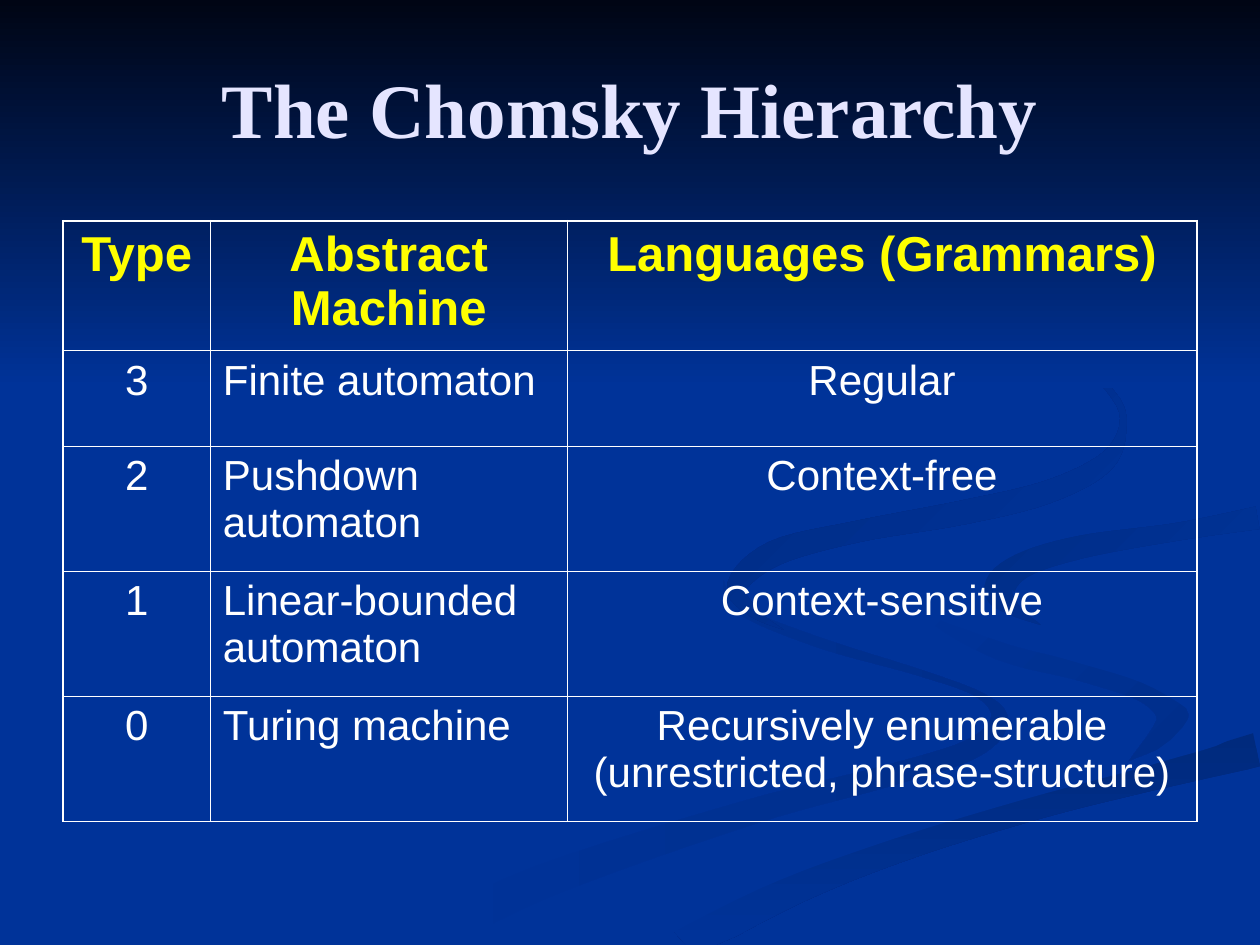
"""Build a slide with a table of the Chomsky hierarchy over a swirling blue ground.

Each ribbon is a few knots (x, y, thickness) on a 1000 by 750 grid; a spline
joins the knots, and the outline lies half the thickness to either side.
"""
import math
from lxml import etree
from pptx import Presentation
from pptx import util as u
from pptx.dml.color import RGBColor
from pptx.enum import shapes, text
from pptx.oxml.ns import qn


def tint(code):
    """Turn a hex string into a colour."""
    return RGBColor.from_string(code)


def paint(shape, start, end, angle):
    """Fill a shape from start to end, with the angle clockwise, and no line."""
    shape.shadow.inherit = False
    shape.line.fill.background()
    if start == end:
        shape.fill.solid()
        shape.fill.fore_color.rgb = tint(start)
        return
    shape.fill.gradient()
    shape.fill.gradient_angle = -angle % 360
    for stop, code in zip(shape.fill.gradient_stops, (start, end)):
        stop.color.rgb = tint(code)


BLUE, NIGHT, WHITE, YELLOW, LILAC = "003399", "000514", "FFFFFF", "FFFF00", "E5E5FF"
UNIT = 0.0254
WIDE, HIGH = 1000, 750
STEPS = 6

deck = Presentation()
deck.slide_width, deck.slide_height = u.Cm(WIDE * UNIT), u.Cm(HIGH * UNIT)
slide = deck.slides.add_slide(deck.slide_layouts[5])
slide.background.fill.solid()
slide.background.fill.fore_color.rgb = tint(BLUE)

ribbons = {
    "left tail": (BLUE, "002E8B", 0, [
        (574, 460, 0), (585, 483, 6), (650, 510, 8), (730, 534, 5), (778, 552, 5),
        (793, 572, 14), (770, 595, 16), (700, 617, 17), (594, 645, 20),
        (430, 700, 27), (330, 749, 30)]),
    "inner curl": (BLUE, "002E8B", 45, [
        (724, 464, 0), (739, 490, 6), (794, 517, 14), (860, 534, 14),
        (912, 551, 17), (930, 573, 25), (896, 604, 0)]),
    "root": ("002A7D", BLUE, 90, [
        (537, 749, 35), (630, 706, 24), (720, 672, 20), (820, 641, 20),
        (903, 620, 20), (998, 595, 27)]),
    "long bend": (BLUE, BLUE, 0, [
        (999, 394, 15), (920, 409, 15), (830, 423, 16), (753, 460, 50),
        (785, 491, 28), (850, 514, 20), (920, 535, 24), (970, 560, 50),
        (920, 600, 10), (810, 630, 10), (700, 662, 13), (600, 699, 14), (490, 749, 26)]),
    "right hook": ("002D86", BLUE, 45, [
        (998, 411, 18), (935, 422, 14), (859, 434, 18), (811, 449, 20),
        (793, 468, 24), (805, 484, 10), (826, 496, 0)]),
    "top hook": ("002B82", BLUE, 45, [
        (762, 233, 0), (844, 277, 3), (884, 314, 5), (891, 340, 6), (876, 368, 15),
        (830, 391, 18), (763, 407, 19), (680, 422, 17), (615, 439, 20),
        (585, 465, 16), (598, 486, 8), (622, 500, 0)]),
}
for start, end, angle, knots in ribbons.values():
    ends = [knots[0], *knots, knots[-1]]
    track = []
    for quad in zip(ends, ends[1:], ends[2:], ends[3:]):
        for step in range(STEPS):
            t = step / STEPS
            track.append([
                b + t * ((c - a) + t * ((2 * a - 5 * b + 4 * c - d)
                                        + t * (3 * b - a - 3 * c + d))) / 2
                for a, b, c, d in zip(*quad)])
    track.append(knots[-1])

    sides = [], []
    for i, (x, y, thick) in enumerate(track):
        back, ahead = track[max(i - 1, 0)], track[min(i + 1, len(track) - 1)]
        dx, dy = ahead[0] - back[0], ahead[1] - back[1]
        half = max(thick, 0) / 2 / math.hypot(dx, dy)
        for side, sign in zip(sides, (1, -1)):
            side.append((u.Cm(min(x - sign * dy * half, WIDE) * UNIT),
                         u.Cm(min(y + sign * dx * half, HIGH) * UNIT)))
    first, *rest = sides[0] + sides[1][::-1]
    path = slide.shapes.build_freeform(*first)
    path.add_line_segments(rest, close=True)
    paint(path.convert_to_shape(), start, end, angle)

sky = slide.shapes.add_shape(shapes.MSO_SHAPE.RECTANGLE, 0, 0, deck.slide_width, u.Cm(7.82))
paint(sky, NIGHT, BLUE, 90)

title = slide.shapes.title
title.element.getparent().append(title.element)
title.left, title.top, title.width, title.height = map(u.Cm, (1.27, 0.76, 22.86, 2.84))
title.text_frame.text = "The Chomsky Hierarchy"
title.text_frame.vertical_anchor = text.MSO_ANCHOR.MIDDLE
head = title.text_frame.paragraphs[0]
head.alignment = text.PP_ALIGN.CENTER
head.font.name, head.font.size, head.font.bold = "Times New Roman", u.Pt(44), True
head.font.color.rgb = tint(LILAC)

rows = [
    ("Type", "Abstract Machine", "Languages (Grammars)"),
    ("3", "Finite automaton", "Regular"),
    ("2", "Pushdown automaton", "Context-free"),
    ("1", "Linear-bounded automaton", "Context-sensitive"),
    ("0", "Turing machine", "Recursively enumerable (unrestricted, phrase-structure)"),
]
widths = [2.97, 7.19, 12.7]
heights = [2.62, 1.93] + [2.52] * 3
table = slide.shapes.add_table(len(rows), len(widths), u.Cm(1.27), u.Cm(4.45),
                               u.Cm(sum(widths)), u.Cm(sum(heights))).table
table.first_row = table.horz_banding = False
for col, size in zip(table.columns, widths):
    col.width = u.Cm(size)
for row, size in zip(table.rows, heights):
    row.height = u.Cm(size)

for r, row in enumerate(rows):
    top = r == 0
    for c, label in enumerate(row):
        cell = table.cell(r, c)
        cell.text = label
        cell.fill.background()
        outer = {"lnL": c == 0, "lnR": c == len(widths) - 1,
                 "lnT": top, "lnB": r == len(rows) - 1}
        for spot, (tag, rim) in enumerate(outer.items()):
            line = etree.Element(qn("a:" + tag), w=str(int(u.Pt(1.08 if rim else 0.45))))
            fill = etree.SubElement(line, qn("a:solidFill"))
            etree.SubElement(fill, qn("a:srgbClr"), val=WHITE)
            cell._tc.get_or_add_tcPr().insert(spot, line)
        para = cell.text_frame.paragraphs[0]
        para.alignment = text.PP_ALIGN.CENTER if top or c != 1 else text.PP_ALIGN.LEFT
        para.space_before = u.Pt(7 if top else 6)
        para.font.name, para.font.bold = "Arial", top
        para.font.size = u.Pt(28 if top else 24)
        para.font.color.rgb = tint(YELLOW if top else WHITE)

deck.save("out.pptx")
